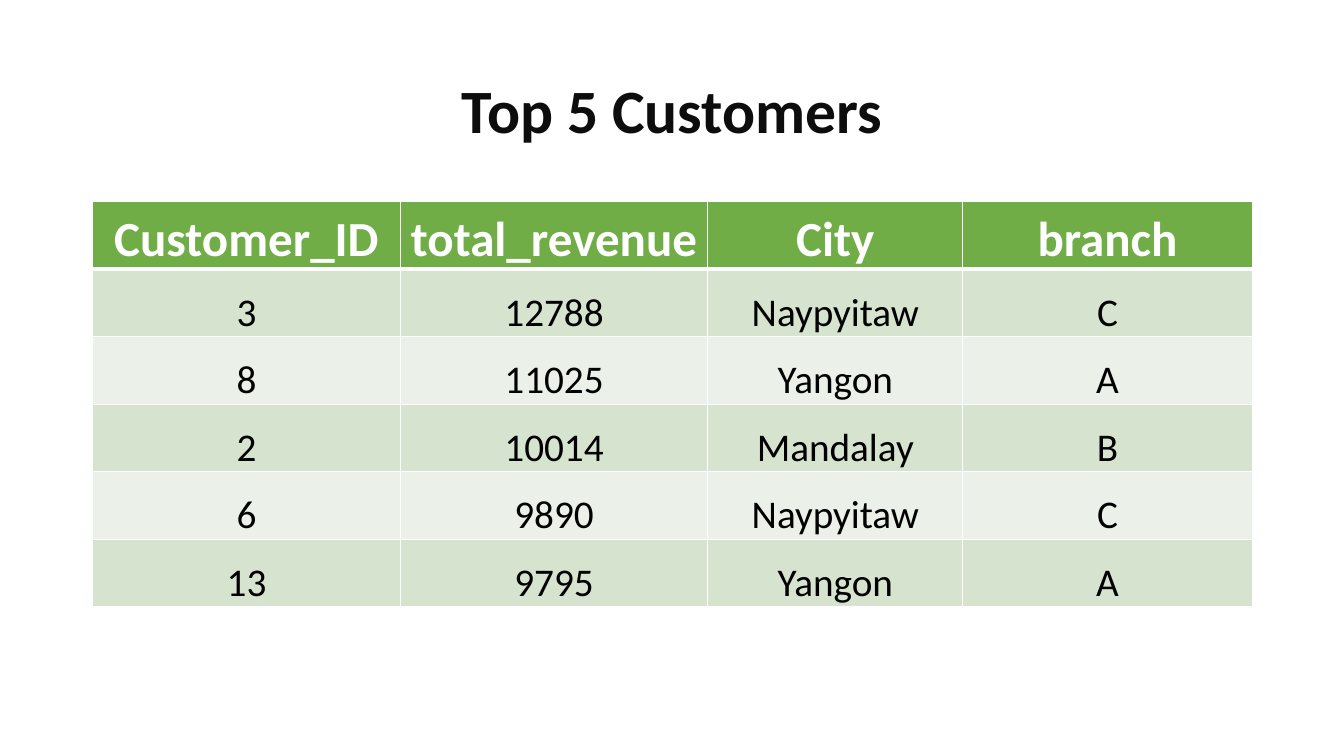
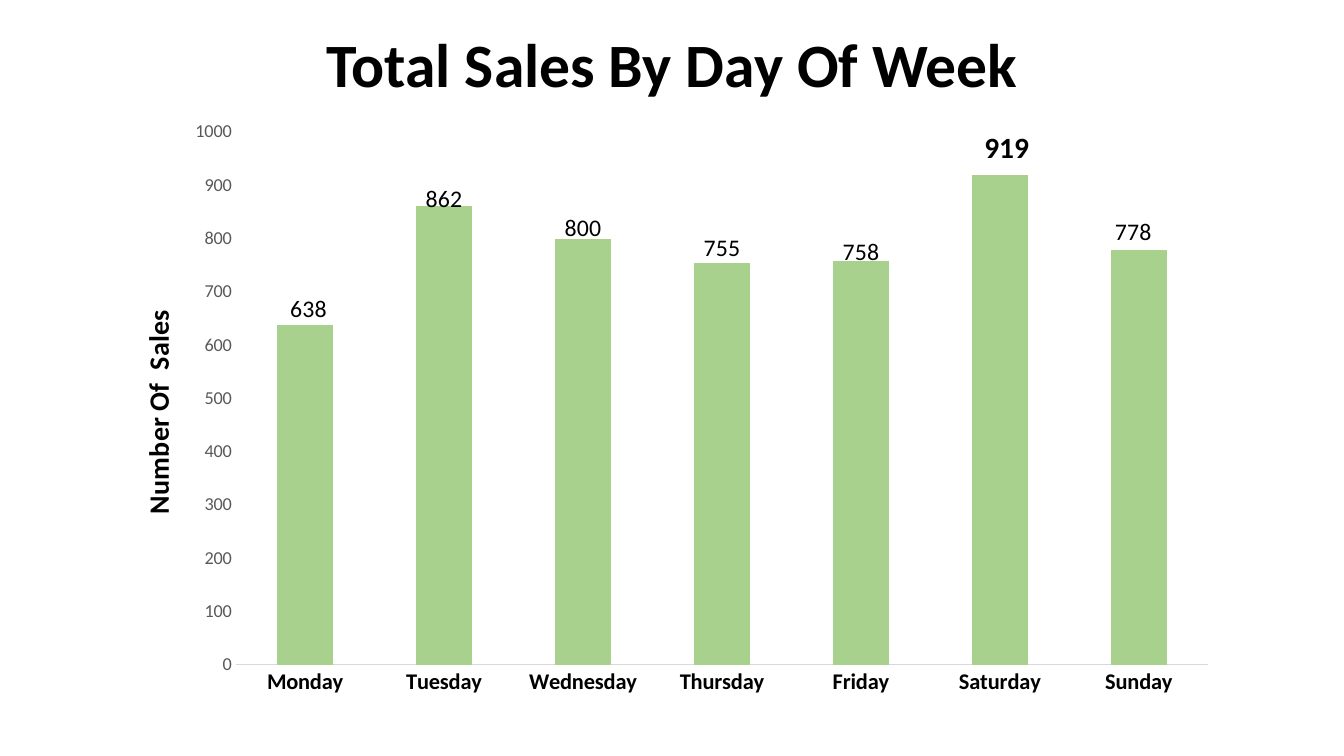
"""Build a customer table slide and a weekday sales chart slide."""
from dataclasses import dataclass
from typing import Any, Optional

from lxml import etree
from pptx import Presentation
from pptx.chart.data import CategoryChartData
from pptx.dml.color import RGBColor
from pptx.enum.chart import XL_CHART_TYPE, XL_LABEL_POSITION, XL_TICK_MARK
from pptx.enum.text import MSO_ANCHOR, MSO_AUTO_SIZE, PP_ALIGN
from pptx.oxml.ns import qn
from pptx.util import Inches, Pt

STACKED = XL_CHART_TYPE.COLUMN_STACKED
INSIDE_END = XL_LABEL_POSITION.INSIDE_END
NO_TICK = XL_TICK_MARK.NONE
MIDDLE = MSO_ANCHOR.MIDDLE
BOTTOM = MSO_ANCHOR.BOTTOM
NO_AUTOFIT = MSO_AUTO_SIZE.NONE
CENTER = PP_ALIGN.CENTER
TITLE_ONLY = 5


@dataclass(frozen=True)
class Theme:
    """Colours, font and type sizes of the deck."""

    font: str = "Calibri"
    black: str = "000000"
    near_black: str = "0D0D0D"
    white: str = "FFFFFF"
    gray: str = "595959"
    axis_line: str = "D9D9D9"
    header_fill: str = "70AD47"
    band_fills: tuple[str, str] = ("D5E3CF", "EBF1E9")
    bar: str = "A9D18E"
    title_size: int = 44
    header_size: int = 35
    body_size: int = 28
    axis_title_size: int = 20
    category_size: int = 16
    value_size: int = 13
    label_size: int = 17
    peak_size: int = 21


@dataclass(frozen=True)
class Box:
    """A place on the slide, in inches."""

    left: float
    top: float
    width: float
    height: float

    def lengths(self) -> tuple[int, int, int, int]:
        """Return the four sides as lengths."""
        return (Inches(self.left), Inches(self.top),
                Inches(self.width), Inches(self.height))


@dataclass(frozen=True)
class DaySales:
    """Sales of one weekday and the shift of its label as chart fractions."""

    day: str
    sales: int
    shift_x: float
    shift_y: float


THEME = Theme()
COLUMN_WIDTHS = (3.05, 3.05, 2.53, 2.87)
ROW_HEIGHT = 0.67
CUSTOMERS = (
    ("Customer_ID", "total_revenue", "City", "branch"),
    ("3", "12788", "Naypyitaw", "C"),
    ("8", "11025", "Yangon", "A"),
    ("2", "10014", "Mandalay", "B"),
    ("6", "9890", "Naypyitaw", "C"),
    ("13", "9795", "Yangon", "A"),
)
WEEK = (
    DaySales("Monday", 638, 0.003, -0.057),
    DaySales("Tuesday", 862, 0, -0.042),
    DaySales("Wednesday", 800, 0, -0.049),
    DaySales("Thursday", 755, 0, -0.055),
    DaySales("Friday", 758, 0, -0.047),
    DaySales("Saturday", 919, 0.006, -0.082),
    DaySales("Sunday", 778, -0.005, -0.062),
)


def style_font(font: Any, size: int, color: str, bold: bool = False) -> None:
    """Apply the deck's font with a size, colour and weight."""
    font.name = THEME.font
    font.size = Pt(size)
    font.bold = bold
    font.color.rgb = RGBColor.from_string(color)


def write_text(frame: Any, text: str, *, size: int, color: str,
               bold: bool = False, spacing: Optional[float] = None) -> None:
    """Write one centred paragraph into a text frame."""
    paragraph = frame.paragraphs[0]
    paragraph.alignment = CENTER
    if spacing:
        paragraph.line_spacing = spacing
    run = paragraph.add_run()
    run.text = text
    style_font(run.font, size, color, bold)


def add_titled_slide(presentation: Any, text: str, box: Box, color: str) -> Any:
    """Add a title-only slide with a formatted title."""
    slide = presentation.slides.add_slide(
        presentation.slide_layouts[TITLE_ONLY])
    title = slide.shapes.title
    title.left, title.top, title.width, title.height = box.lengths()
    frame = title.text_frame
    frame.word_wrap = True
    frame.auto_size = NO_AUTOFIT
    frame.vertical_anchor = MIDDLE
    write_text(frame, text, size=THEME.title_size, color=color,
               bold=True, spacing=0.9)
    return slide


def set_borders(cell: Any, top: float, bottom: float) -> None:
    """Draw white cell borders with the given top and bottom widths."""
    properties = cell._tc.get_or_add_tcPr()
    widths = {"a:lnL": 1, "a:lnR": 1, "a:lnT": top, "a:lnB": bottom}
    for index, (tag, width) in enumerate(widths.items()):
        line = etree.Element(qn(tag), w=str(Pt(width)))
        fill = etree.SubElement(line, qn("a:solidFill"))
        etree.SubElement(fill, qn("a:srgbClr"), val=THEME.white)
        properties.insert(index, line)


def add_customer_table(slide: Any) -> None:
    """Add the table of customers with a header and banded rows."""
    box = Box(0.92, 2, sum(COLUMN_WIDTHS), ROW_HEIGHT * len(CUSTOMERS))
    table = slide.shapes.add_table(
        len(CUSTOMERS), len(COLUMN_WIDTHS), *box.lengths()).table
    table.horz_banding = False
    for column, width in zip(table.columns, COLUMN_WIDTHS):
        column.width = Inches(width)
    for row_index, values in enumerate(CUSTOMERS):
        header = row_index == 0
        fill = THEME.header_fill if header else THEME.band_fills[(row_index - 1) % 2]
        table.rows[row_index].height = Inches(ROW_HEIGHT)
        for column_index, value in enumerate(values):
            cell = table.cell(row_index, column_index)
            cell.fill.solid()
            cell.fill.fore_color.rgb = RGBColor.from_string(fill)
            cell.vertical_anchor = BOTTOM
            cell.margin_left = cell.margin_right = cell.margin_top = Inches(0.01)
            cell.margin_bottom = 0
            set_borders(cell, top=3 if row_index == 1 else 1,
                        bottom=3 if header else 1)
            write_text(cell.text_frame, value, bold=header,
                       size=THEME.header_size if header else THEME.body_size,
                       color=THEME.white if header else THEME.black)


def make_layout(**values: Any) -> Any:
    """Return a manual chart layout with the given settings."""
    layout = etree.Element(qn("c:layout"))
    manual = etree.SubElement(layout, qn("c:manualLayout"))
    for name, value in values.items():
        etree.SubElement(manual, qn(f"c:{name}"), val=str(value))
    return layout


def replace_layout(parent: Any, before: str, layout: Any) -> None:
    """Put a layout after the named child, replacing any earlier one."""
    for old in parent.findall(qn("c:layout")):
        parent.remove(old)
    anchor = parent.find(qn(before)) if before else None
    parent.insert(0 if anchor is None else parent.index(anchor) + 1, layout)


def format_axes(chart: Any) -> None:
    """Format both axes and the value axis title."""
    category_axis, value_axis = chart.category_axis, chart.value_axis
    for axis in (category_axis, value_axis):
        axis.major_tick_mark = axis.minor_tick_mark = NO_TICK
        axis.has_major_gridlines = False
    style_font(category_axis.tick_labels.font, THEME.category_size,
               THEME.black, True)
    category_axis.format.line.width = Pt(0.75)
    category_axis.format.line.color.rgb = RGBColor.from_string(THEME.axis_line)
    style_font(value_axis.tick_labels.font, THEME.value_size, THEME.gray)
    value_axis.format.line.fill.background()
    value_axis.minimum_scale, value_axis.maximum_scale = 0, 1000
    value_axis.major_unit = 100
    title = value_axis.axis_title
    write_text(title.text_frame, "Number Of  Sales", bold=True,
               size=THEME.axis_title_size, color=THEME.black)
    replace_layout(title._element, "c:tx", make_layout(
        xMode="edge", yMode="edge", x=0.025, y=0.328))


def format_labels(series: Any) -> None:
    """Lift each value label above its bar and stress the highest value."""
    labels = series.data_labels
    labels.show_value = True
    labels.position = INSIDE_END
    style_font(labels.font, THEME.label_size, THEME.black)
    highest = max(entry.sales for entry in WEEK)
    for index, entry in enumerate(WEEK):
        peak = entry.sales == highest
        label = series.points[index].data_label
        style_font(label.font, THEME.peak_size if peak else THEME.label_size,
                   THEME.black, peak)
        label.position = INSIDE_END
        element = labels._element.findall(qn("c:dLbl"))[index]
        replace_layout(element, "c:idx",
                       make_layout(x=entry.shift_x, y=entry.shift_y))


def add_sales_chart(slide: Any) -> None:
    """Add the column chart of sales by weekday."""
    data = CategoryChartData()
    data.categories = [entry.day for entry in WEEK]
    data.add_series("Series 1", [entry.sales for entry in WEEK])
    box = Box(1.04, 1.08, 11.18, 5.94)
    chart = slide.shapes.add_chart(STACKED, *box.lengths(), data).chart
    chart.has_legend = False
    chart.has_title = False
    style_font(chart.font, 10, THEME.black)
    plot = chart.plots[0]
    plot.gap_width, plot.overlap = 150, 100
    plot.vary_by_categories = False
    series = plot.series[0]
    series.format.fill.solid()
    series.format.fill.fore_color.rgb = RGBColor.from_string(THEME.bar)
    format_axes(chart)
    format_labels(series)
    plot_area = chart._chartSpace.find(".//" + qn("c:plotArea"))
    replace_layout(plot_area, "", make_layout(
        layoutTarget="inner", xMode="edge", yMode="edge",
        x=0.116, y=0.039, w=0.863, h=0.89))


def main() -> None:
    """Build and save the presentation."""
    presentation = Presentation()
    presentation.slide_width = Inches(13.33)
    presentation.slide_height = Inches(7.5)
    add_customer_table(add_titled_slide(
        presentation, "Top 5 Customers", Box(0.92, 0.4, 11.5, 1.45),
        THEME.near_black))
    add_sales_chart(add_titled_slide(
        presentation, "Total Sales By Day Of Week",
        Box(0.92, 0.15, 11.5, 1.04), THEME.black))
    presentation.save("out.pptx")


if __name__ == "__main__":
    main()
